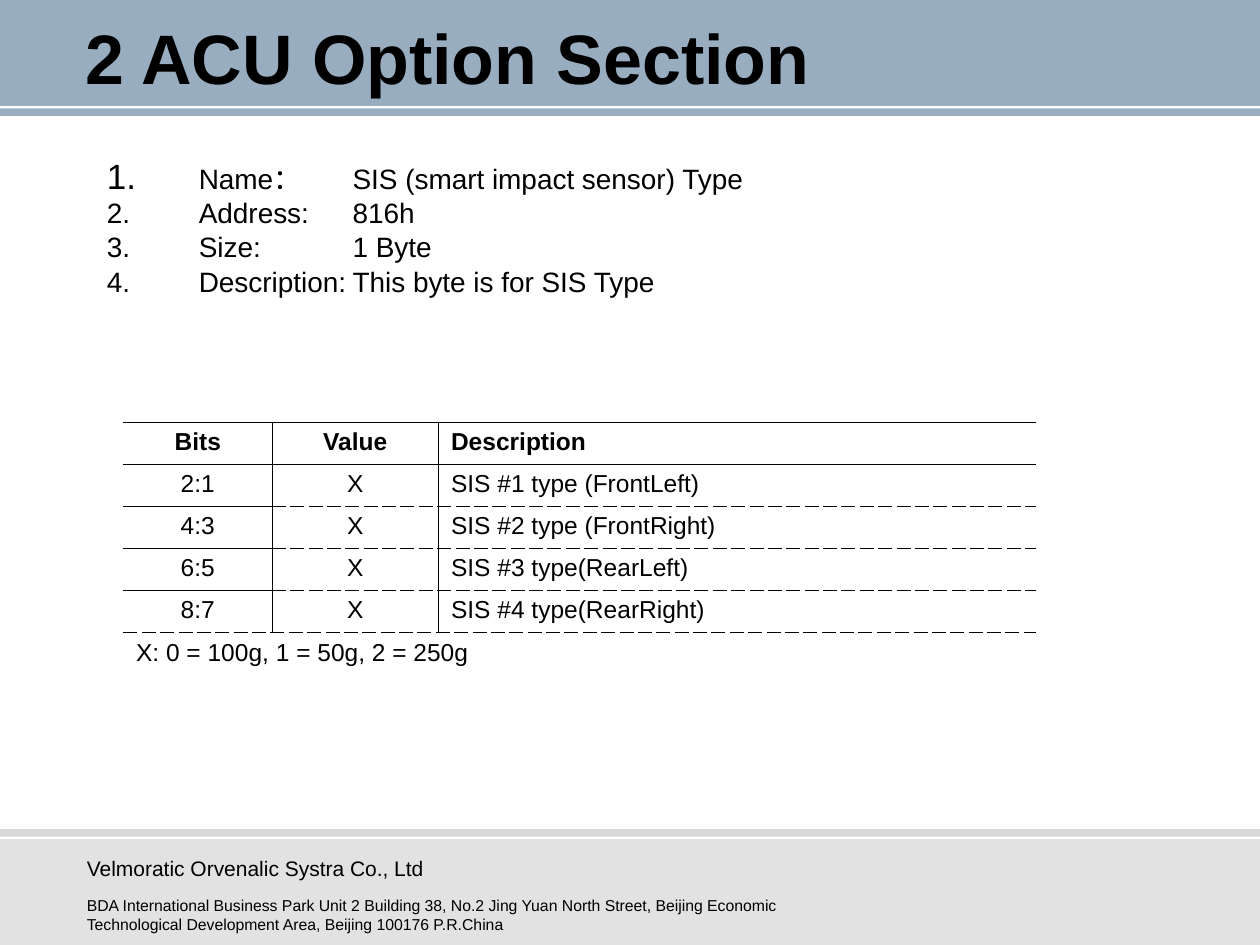
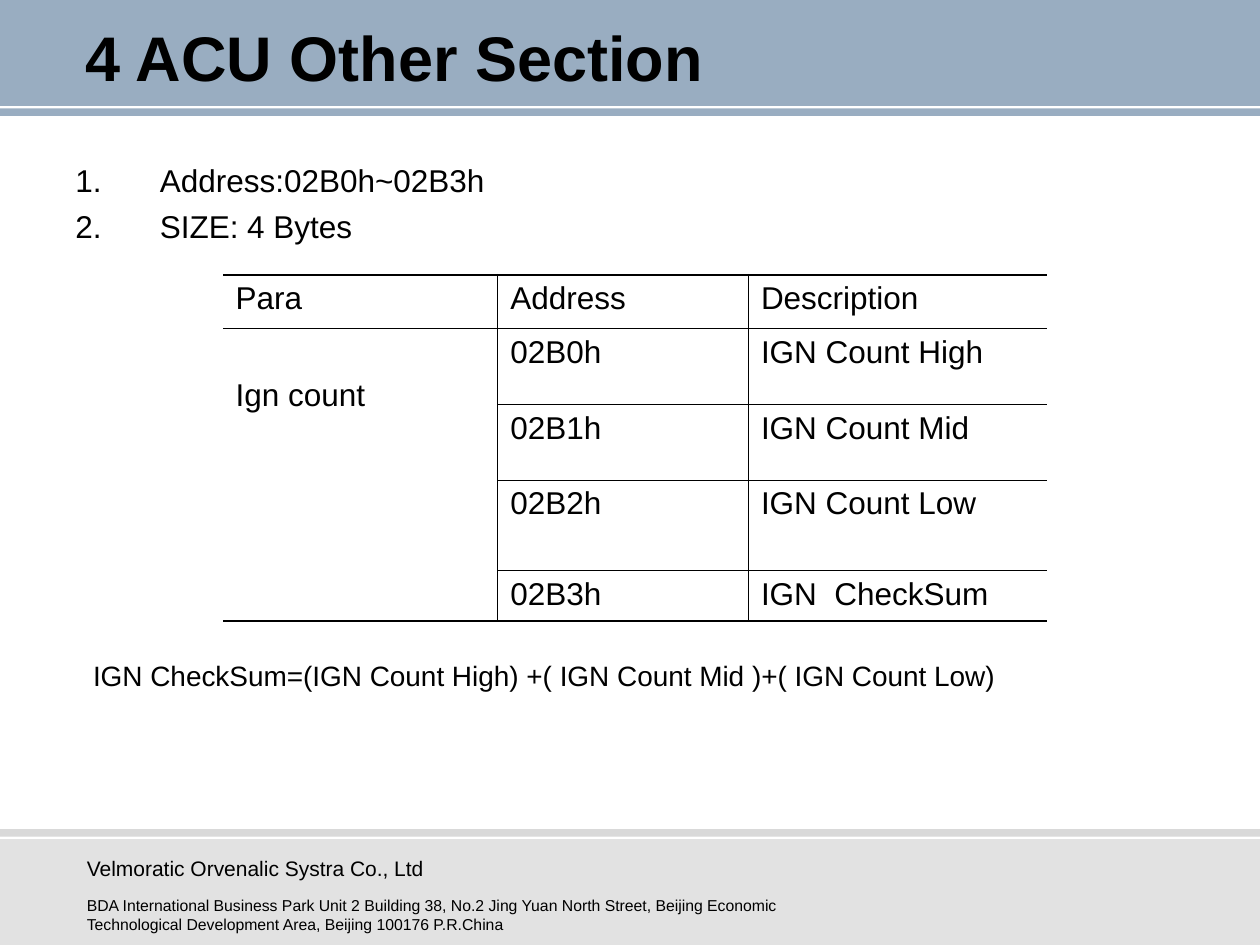
from lxml import etree
from pptx import Presentation
from pptx.dml.color import RGBColor
from pptx.enum.shapes import MSO_SHAPE
from pptx.enum.text import MSO_ANCHOR, MSO_AUTO_SIZE, PP_ALIGN
from pptx.oxml.ns import qn
from pptx.util import Inches, Pt

RECTANGLE = MSO_SHAPE.RECTANGLE
TOP, MIDDLE = MSO_ANCHOR.TOP, MSO_ANCHOR.MIDDLE
NO_AUTOFIT = MSO_AUTO_SIZE.NONE
LEFT, CENTER = PP_ALIGN.LEFT, PP_ALIGN.CENTER

FONT = "Arial"
COLORS = {"text": "000000", "navy": "003366", "silver": "C0C0C0"}
PLAIN_TABLE_STYLE = "{2D5ABB26-0587-4C30-8999-92F81FD0307C}"

# top, height, colour, opacity in percent
BANDS = [
    (0, 0.84, "navy", 40),
    (0.86, 0.06, "navy", 40),
    (6.58, 0.06, "silver", 60),
    (6.66, 0.84, "silver", 46),
]
TITLE_BOX = (0.58, 0.13, 8.83, 0.63)
COMPANY = "Velmoratic Orvenalic Systra Co., Ltd"
ADDRESS = (
    "BDA International Business Park Unit 2 Building 38, No.2 Jing Yuan North Street, "
    "Beijing Economic Technological Development Area, Beijing 100176 P.R.China"
)

SENSOR_FIELDS = [
    ("Name：", "SIS (smart impact sensor) Type"),
    ("Address:", "816h"),
    ("Size:", "1 Byte"),
    ("Description:", "This byte is for SIS Type"),
]
COUNTER_FIELDS = ["Address:02B0h~02B3h", "SIZE: 4 Bytes"]
CHECKSUM_FORMULA = "IGN CheckSum=(IGN Count High) +( IGN Count Mid )+( IGN Count Low)"

# Each string of "edges" is one horizontal rule, one letter per column:
# S thin, D dashed, H heavy, "." none.
EDGE_STYLES = {"S": (0.45, "solid"), "D": (0.45, "dash"), "H": (1.08, "solid")}
SENSOR_TABLE = {
    "cells": [
        ["Bits", "Value", "Description"],
        ["2:1", "X", "SIS #1 type (FrontLeft)"],
        ["4:3", "X", "SIS #2 type (FrontRight)"],
        ["6:5", "X", "SIS #3 type(RearLeft)"],
        ["8:7", "X", "SIS #4 type(RearRight)"],
        ["X: 0 = 100g, 1 = 50g, 2 = 250g", "", ""],
    ],
    "position": (0.98, 3.35),
    "columns": [1.18, 1.32, 4.74],
    "rows": [0.33] * 6,
    "edges": ["SSS", "SSS", "SDD", "SDD", "SDD", "DDD", "..."],
    "divided_rows": 5,
    "merge": ((5, 0), (5, 2)),
    "size": 14,
    "bold_rows": {0},
    "centered": {(row, column) for row in range(5) for column in range(2)},
}
COUNTER_TABLE = {
    "cells": [
        ["Para", "Address", "Description"],
        ["Ign count", "02B0h", "IGN Count High"],
        ["", "02B1h", "IGN Count Mid"],
        ["", "02B2h", "IGN Count Low"],
        ["", "02B3h", "IGN  CheckSum"],
    ],
    "position": (1.77, 2.18),
    "columns": [2.18, 1.99, 2.37],
    "rows": [0.43, 0.6, 0.6, 0.72, 0.4],
    "edges": ["HHH", "SSS", ".SS", ".SS", ".SS", "HHH"],
    "divided_rows": 5,
    "merge": ((1, 0), (4, 0)),
    "size": 18,
    "bold_rows": set(),
    "centered": set(),
}


def inches(values):
    return [Inches(value) for value in values]


def format_paragraph(paragraph, size, bold=False, **layout):
    for name, value in {"alignment": LEFT, **layout}.items():
        setattr(paragraph, name, value)
    for name, value in {"name": FONT, "size": Pt(size), "bold": bold}.items():
        setattr(paragraph.font, name, value)
    paragraph.font.color.rgb = RGBColor.from_string(COLORS["text"])


def number_paragraph(paragraph, indent, number_percent=100):
    properties = paragraph._p.get_or_add_pPr()
    properties.set("marL", str(Inches(indent)))
    properties.set("indent", str(-Inches(indent)))
    etree.SubElement(properties, qn("a:buSzPct"), val=str(number_percent * 1000))
    etree.SubElement(properties, qn("a:buFont"), typeface=FONT)
    etree.SubElement(properties, qn("a:buAutoNum"), type="arabicPeriod")


def add_text(slide, box, lines, size, anchor=TOP, indent=None, first_number=100,
             gap=0, line_spacing=None):
    """Add a text box; an indent turns its lines into a numbered list."""
    frame = slide.shapes.add_textbox(*inches(box)).text_frame
    frame.word_wrap = True
    frame.vertical_anchor = anchor
    for index, line in enumerate(lines):
        paragraph = frame.add_paragraph() if index else frame.paragraphs[0]
        paragraph.text = line
        if indent is not None:
            number_paragraph(paragraph, indent, 100 if index else first_number)
        format_paragraph(paragraph, size, line_spacing=line_spacing,
                         space_before=Pt(gap if index else 0))


def add_band(slide, top, height, color, opacity):
    band = slide.shapes.add_shape(RECTANGLE, *inches((0, top, 10, height)))
    band.shadow.inherit = False
    band.line.fill.background()
    band.fill.solid()
    band.fill.fore_color.rgb = RGBColor.from_string(COLORS[color])
    color_element = band._element.spPr.find(f"{qn('a:solidFill')}/{qn('a:srgbClr')}")
    etree.SubElement(color_element, qn("a:alpha"), val=str(opacity * 1000))


def add_section_slide(presentation, title_text, title_size):
    slide = presentation.slides.add_slide(presentation.slide_layouts[5])
    for band in BANDS:
        add_band(slide, *band)
    add_text(slide, (0.59, 6.74, 6.38, 0.31), [COMPANY], 12)
    add_text(slide, (0.59, 7.06, 6.38, 0.44), [ADDRESS], 9)

    title = slide.shapes.title
    title.left, title.top, title.width, title.height = inches(TITLE_BOX)
    frame = title.text_frame
    frame.text = title_text
    frame.auto_size = NO_AUTOFIT
    frame.vertical_anchor = MIDDLE
    format_paragraph(frame.paragraphs[0], title_size, bold=True)
    slide.shapes._spTree.append(title._element)  # in front of the bands
    return slide


def set_border(cell, side, style):
    line = etree.SubElement(cell._tc.get_or_add_tcPr(), qn(f"a:ln{side}"))
    if style not in EDGE_STYLES:
        etree.SubElement(line, qn("a:noFill"))
        return
    width, dash = EDGE_STYLES[style]
    line.set("w", str(Pt(width)))
    fill = etree.SubElement(line, qn("a:solidFill"))
    etree.SubElement(fill, qn("a:srgbClr"), val=COLORS["text"])
    etree.SubElement(line, qn("a:prstDash"), val=dash)


def add_ruled_table(slide, data):
    columns, rows = data["columns"], data["rows"]
    box = (*data["position"], sum(columns), sum(rows))
    table = slide.shapes.add_table(len(rows), len(columns), *inches(box)).table
    table.first_row = table.horz_banding = False
    table._tbl.tblPr.find(qn("a:tableStyleId")).text = PLAIN_TABLE_STYLE
    for column, width in zip(table.columns, columns):
        column.width = Inches(width)
    for row, height in zip(table.rows, rows):
        row.height = Inches(height)
    first, last = data["merge"]
    table.cell(*first).merge(table.cell(*last))

    for row, texts in enumerate(data["cells"]):
        divider = "S" if row < data["divided_rows"] else "."
        for column, text in enumerate(texts):
            cell = table.cell(row, column)
            bottom = row + (cell.span_height if cell.is_merge_origin else 1)
            borders = {
                "L": divider if column else ".",
                "R": divider if column < len(columns) - 1 else ".",
                "T": data["edges"][row][column],
                "B": data["edges"][bottom][column],
            }
            for side, style in borders.items():
                set_border(cell, side, style)
            cell.fill.background()
            cell.text = text
            format_paragraph(
                cell.text_frame.paragraphs[0], data["size"],
                bold=row in data["bold_rows"],
                alignment=CENTER if (row, column) in data["centered"] else LEFT,
            )
    return table


def build_sensor_slide(presentation):
    slide = add_section_slide(presentation, "2 ACU Option Section", 40)
    labels, values = zip(*SENSOR_FIELDS)
    add_text(slide, (0.75, 1.23, 2.1, 1.18), labels, 16, indent=0.73,
             first_number=125, line_spacing=Pt(19.5))
    add_text(slide, (2.7, 1.23, 6.49, 1.18), values, 16, line_spacing=Pt(19.5))
    add_ruled_table(slide, SENSOR_TABLE)


def build_counter_slide(presentation):
    slide = add_section_slide(presentation, "4 ACU Other Section", 36)
    add_text(slide, (0.5, 1.23, 9.15, 0.8), COUNTER_FIELDS, 18, indent=0.67, gap=4.5)
    table = add_ruled_table(slide, COUNTER_TABLE)
    table.cell(1, 0).margin_top = Inches(0.39)
    add_text(slide, (0.64, 5, 8.94, 0.72), [CHECKSUM_FORMULA], 16, anchor=MIDDLE)


def main():
    presentation = Presentation()
    presentation.slide_width, presentation.slide_height = inches((10, 7.5))
    build_sensor_slide(presentation)
    build_counter_slide(presentation)
    presentation.save("out.pptx")


if __name__ == "__main__":
    main()
